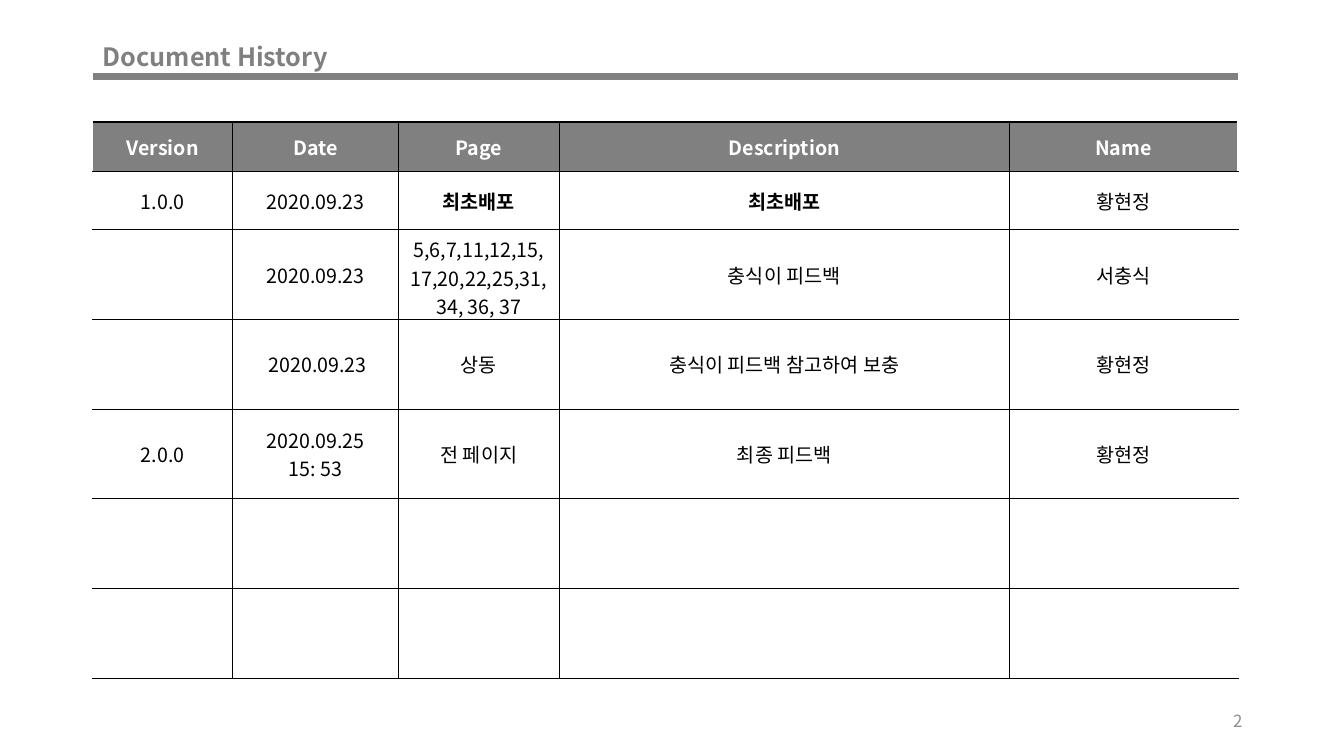
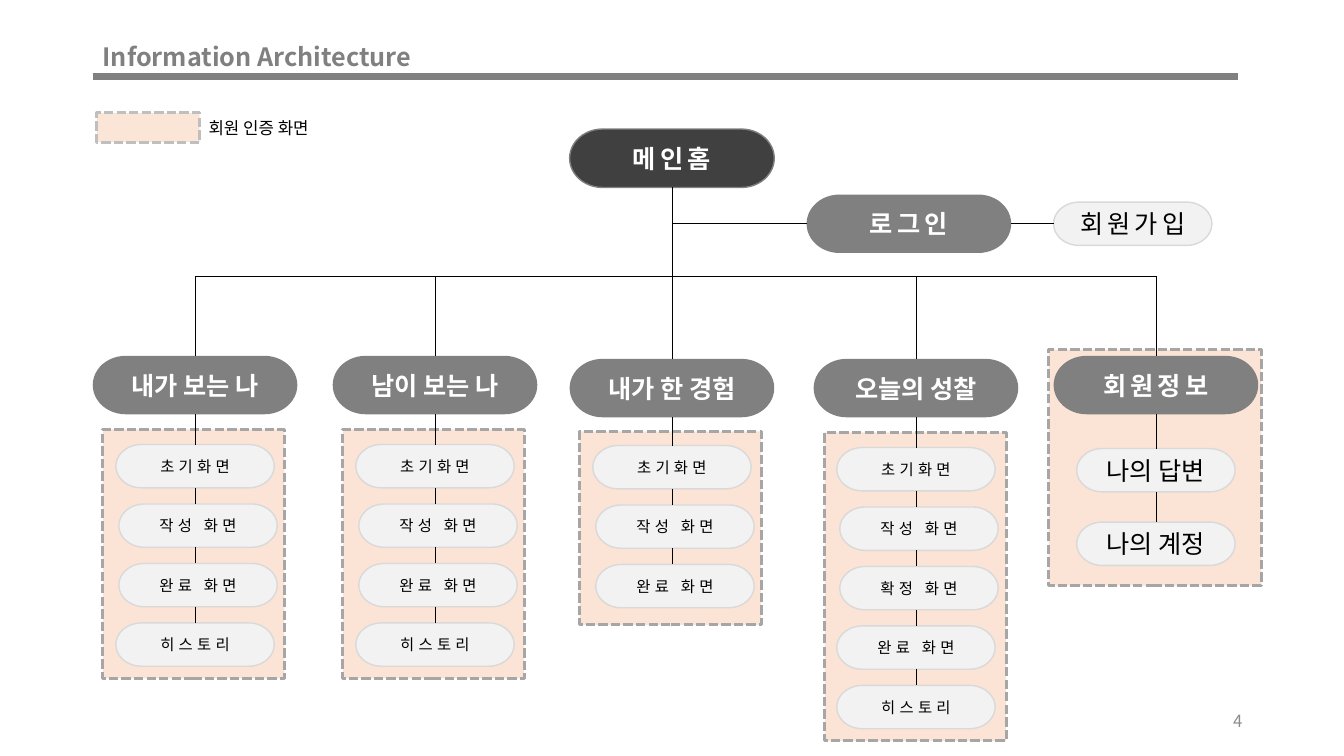
"""Build a document history table and an information architecture chart."""
from dataclasses import dataclass
from itertools import pairwise
from typing import Any, NamedTuple

from lxml import etree
from pptx import Presentation
from pptx.dml.color import RGBColor
from pptx.enum.dml import MSO_LINE
from pptx.enum.shapes import MSO_CONNECTOR, MSO_SHAPE
from pptx.enum.text import MSO_ANCHOR, PP_ALIGN
from pptx.oxml.ns import qn
from pptx.util import Emu, Inches, Pt

STRAIGHT = MSO_CONNECTOR.STRAIGHT
PILL, RECT = MSO_SHAPE.FLOWCHART_TERMINATOR, MSO_SHAPE.RECTANGLE
LEFT, CENTER, RIGHT = PP_ALIGN.LEFT, PP_ALIGN.CENTER, PP_ALIGN.RIGHT
MIDDLE, DASH = MSO_ANCHOR.MIDDLE, MSO_LINE.SQUARE_DOT
TOP_SIDE, LEFT_SIDE, BOTTOM_SIDE, RIGHT_SIDE = range(4)

SLIDE_W, SLIDE_H = Inches(13.33), Inches(7.5)
GRID_ROWS = 75
CELL = SLIDE_H / GRID_ROWS


@dataclass(frozen=True)
class Theme:
    font: str = "Noto Sans CJK KR"
    grey: str = "808080"
    dark: str = "404040"
    black: str = "000000"
    white: str = "FFFFFF"
    number: str = "8C8C8C"
    pale: str = "F2F2F2"
    pale_edge: str = "D9D9D9"
    peach: str = "F8CBAD"
    peach_solid: str = "FBE5D6"
    panel_edge: str = "A6A6A6"
    legend_edge: str = "BFBFBF"
    head_size: float = 18
    table_size: float = 14
    note_size: float = 12
    leaf_size: float = 11
    tracking: float = 3
    rule: float = 4.5
    dash: float = 2.25
    edge: float = 1
    hairline: float = 0.5


T = Theme()


class Box(NamedTuple):
    x: float
    y: float
    w: float
    h: float


class Style(NamedTuple):
    size: float
    color: str
    bold: bool = False
    tracking: float = 0
    align: Any = CENTER


class Look(NamedTuple):
    fill: str
    edge: str | None = None
    width: float = T.edge
    dashed: bool = False
    alpha: int = 100


class End(NamedTuple):
    x: float
    y: float
    shape: Any = None
    site: int = 0


class Leaf(NamedTuple):
    text: str
    shift: float = 0


@dataclass(frozen=True)
class Branch:
    text: str
    x: float
    y: float
    leaves: tuple[Leaf, ...]
    panel: Box
    first: float = 8.8
    pitch: float = 5.9
    head_tracking: float = 0
    leaf_style: Style = Style(T.leaf_size, T.black, tracking=T.tracking)


MARGIN, CONTENT_W = 9.2, 113.6
HEAD_W, HEAD_H = 20.3, 5.8
LEAF_W, LEAF_H = 15.7, 4.3
LEAF_INSET = (HEAD_W - LEAF_W) / 2
BUS_Y = 27.4

GREY_LOOK = Look(T.grey)
LEAF_LOOK = Look(T.pale, T.pale_edge)
PANEL_LOOK = Look(T.peach, T.panel_edge, T.dash, True, 50)

START, WRITE = Leaf("초기화면"), Leaf("작성 화면", 0.3)
DONE, HISTORY = Leaf("완료 화면", 0.3), Leaf("히스토리")
FOUR_STEPS = (START, WRITE, DONE, HISTORY)
BRANCHES = (
    Branch("내가 보는 나", 9.2, 35.3, FOUR_STEPS, Box(1, 7.3, 18, 24.7)),
    Branch("남이 보는 나", 33, 35.3, FOUR_STEPS, Box(1, 7.3, 18, 24.7)),
    Branch("내가 한 경험", 56.5, 35.6, (START, WRITE, DONE),
           Box(1, 7.2, 18, 19.2), first=8.6),
    Branch("오늘의 성찰", 80.7, 35.6,
           (START, WRITE, Leaf("확정 화면", 0.3), Leaf("완료 화면"), HISTORY),
           Box(1.1, 7.3, 18, 30.6)),
    Branch("회원정보", 104.5, 35.3, (Leaf("나의 답변"), Leaf("나의 계정")),
           Box(-0.5, -0.6, 21.1, 23.4), first=9.2, pitch=7.3,
           head_tracking=T.tracking, leaf_style=Style(T.head_size, T.black)),
)

COLUMN_WIDTHS = (13.9, 16.4, 16, 44.6, 22.7)
ROW_HEIGHTS = (4.9, 5.8) + (8.9,) * 5
HISTORY_ROWS = (
    ("Version", "Date", "Page", "Description", "Name"),
    ("1.0.0", "2020.09.23", "최초배포", "최초배포", "황현정"),
    ("", "2020.09.23", "5,6,7,11,12,15,17,20,22,25,31,34, 36, 37",
     "충식이 피드백", "서충식"),
    ("", " 2020.09.23", "상동", "충식이 피드백 참고하여 보충", "황현정"),
    ("2.0.0", "2020.09.25\n15: 53", "전 페이지", "최종 피드백", "황현정"),
    ("",) * 5,
    ("",) * 5,
)
BOLD_TEXT = "최초배포"


def u(cells: float) -> Emu:
    """Convert grid cells to a length."""
    return Emu(round(cells * CELL))


def rgb(color: str) -> RGBColor:
    """Read a hexadecimal colour."""
    return RGBColor.from_string(color)


def write(tf: Any, text: str, style: Style) -> None:
    """Fill a text frame, one paragraph per line."""
    tf.text = text
    for p in tf.paragraphs:
        p.alignment = style.align
        font = p.font
        font.size, font.bold = Pt(style.size), style.bold
        font.color.rgb = rgb(style.color)
        font.name = T.font
        rpr = p._p.pPr.find(qn("a:defRPr"))
        etree.SubElement(rpr, qn("a:ea"), typeface=T.font)
        if style.tracking:
            rpr.set("spc", str(round(style.tracking * 100)))


def add_text(s: Any, box: Box, text: str, style: Style, wrap: bool = True) -> Any:
    """Add a text box and return its text frame."""
    tf = s.shapes.add_textbox(*map(u, box)).text_frame
    tf.word_wrap, tf.vertical_anchor = wrap, MIDDLE
    write(tf, text, style)
    return tf


def add_box(s: Any, kind: Any, box: Box, look: Look) -> Any:
    """Add a filled preset shape."""
    sp = s.shapes.add_shape(kind, *map(u, box))
    sp.shadow.inherit = False
    sp.fill.solid()
    sp.fill.fore_color.rgb = rgb(look.fill)
    if look.alpha < 100:
        color = sp._element.spPr.find(qn("a:solidFill"))[0]
        etree.SubElement(color, qn("a:alpha"), val=str(look.alpha * 1000))
    if look.edge is None:
        sp.line.fill.background()
        return sp
    sp.line.color.rgb = rgb(look.edge)
    sp.line.width = Pt(look.width)
    if look.dashed:
        sp.line.dash_style = DASH
    return sp


def add_pill(s: Any, box: Box, text: str, look: Look, style: Style) -> Any:
    """Add a labelled node."""
    sp = add_box(s, PILL, box, look)
    tf = sp.text_frame
    tf.word_wrap, tf.vertical_anchor = False, MIDDLE
    write(tf, text, style)
    return sp


def add_line(s: Any, start: End, end: End, color: str = T.black,
             width: float = T.hairline) -> None:
    """Add a straight line, joined to the shapes its ends name."""
    cn = s.shapes.add_connector(
        STRAIGHT, u(start.x), u(start.y), u(end.x), u(end.y))
    cn.line.color.rgb = rgb(color)
    cn.line.width = Pt(width)
    etree.SubElement(cn._element.spPr, qn("a:effectLst"))
    if start.shape is not None:
        cn.begin_connect(start.shape, start.site)
    if end.shape is not None:
        cn.end_connect(end.shape, end.site)


def add_page(prs: Any, title: str, number: int) -> Any:
    """Add a slide with its title, rule and page number."""
    s = prs.slides.add_slide(prs.slide_layouts[6])
    tf = add_text(s, Box(MARGIN, 4, 45.2, 3.5), title,
                  Style(T.head_size, T.grey, True, align=LEFT))
    tf.paragraphs[0].line_spacing = 0.9
    add_line(s, End(MARGIN, 7.6), End(MARGIN + CONTENT_W, 7.6), T.grey, T.rule)
    add_text(s, Box(94.2, 69.5, 30, 4), str(number),
             Style(T.note_size, T.number, align=RIGHT))
    return s


def add_borders(cell: Any, sides: dict[str, str]) -> None:
    """Draw the four borders of a table cell."""
    tcpr = cell._tc.get_or_add_tcPr()
    for side, color in sides.items():
        ln = etree.SubElement(tcpr, qn(f"a:ln{side}"), w=str(Pt(T.edge)))
        fill = etree.SubElement(ln, qn("a:solidFill"))
        etree.SubElement(fill, qn("a:srgbClr"), val=color)


def add_history(s: Any) -> None:
    """Add the version table."""
    last = len(COLUMN_WIDTHS) - 1
    box = Box(MARGIN, 12.1, sum(COLUMN_WIDTHS), sum(ROW_HEIGHTS))
    table = s.shapes.add_table(
        len(ROW_HEIGHTS), len(COLUMN_WIDTHS), *map(u, box)).table
    table.first_row = table.horz_banding = False
    for column, width in zip(table.columns, COLUMN_WIDTHS):
        column.width = u(width)
    for i, (height, texts) in enumerate(zip(ROW_HEIGHTS, HISTORY_ROWS)):
        table.rows[i].height = u(height)
        header = i == 0
        for j, text in enumerate(texts):
            cell = table.cell(i, j)
            add_borders(cell, {"L": T.white if j == 0 else T.black,
                               "R": T.white if j == last else T.black,
                               "T": T.black, "B": T.black})
            cell.fill.solid()
            cell.fill.fore_color.rgb = rgb(T.grey if header else T.white)
            cell.vertical_anchor = MIDDLE
            write(cell.text_frame, text,
                  Style(T.table_size, T.white if header else T.black,
                        header or text == BOLD_TEXT))


def add_branch(s: Any, b: Branch) -> None:
    """Add a branch: panel, head, leaves and the lines between them."""
    axis = b.x + HEAD_W / 2
    add_box(s, RECT, Box(b.x + b.panel.x, b.y + b.panel.y, *b.panel[2:]), PANEL_LOOK)
    head = add_pill(s, Box(b.x, b.y, HEAD_W, HEAD_H), b.text, GREY_LOOK,
                    Style(T.head_size, T.white, True, b.head_tracking))
    add_line(s, End(axis, BUS_Y), End(axis, b.y, head, TOP_SIDE))
    nodes = [(b.y, HEAD_H, head)]
    for i, leaf in enumerate(b.leaves):
        y = b.y + b.first + i * b.pitch
        sp = add_pill(s, Box(b.x + LEAF_INSET + leaf.shift, y, LEAF_W, LEAF_H),
                      leaf.text, LEAF_LOOK, b.leaf_style)
        nodes.append((y, LEAF_H, None if leaf.shift else sp))
    for (y, h, upper), (below, _, lower) in pairwise(nodes):
        add_line(s, End(axis, y + h, upper, BOTTOM_SIDE),
                 End(axis, below, lower, TOP_SIDE))


def add_architecture(s: Any) -> None:
    """Add the legend, the top nodes and all branches."""
    add_box(s, RECT, Box(9.6, 11.2, 10.2, 2.9),
            Look(T.peach_solid, T.legend_edge, T.dash, True))
    add_text(s, Box(19.7, 11.2, 13.3, 3), "회원 인증 화면",
             Style(T.note_size, T.black, align=LEFT), wrap=False)
    top = Style(T.head_size, T.white, True, T.tracking)
    home_box = Box(56.5, 12.8, HEAD_W, HEAD_H)
    login_box = Box(80, 19.3, HEAD_W, HEAD_H)
    axis, level = home_box.x + HEAD_W / 2, login_box.y + HEAD_H / 2
    join_box = Box(104.5, level - LEAF_H / 2, LEAF_W, LEAF_H)
    home = add_pill(s, home_box, "메인홈", Look(T.dark, T.grey), top)
    login = add_pill(s, login_box, "로그인", GREY_LOOK, top)
    join = add_pill(s, join_box, "회원가입", LEAF_LOOK,
                    Style(T.head_size, T.black, tracking=T.tracking))
    add_line(s, End(axis, home_box.y + HEAD_H, home, BOTTOM_SIDE), End(axis, BUS_Y))
    add_line(s, End(login_box.x, level, login, LEFT_SIDE), End(axis, level))
    add_line(s, End(login_box.x + HEAD_W, level, login, RIGHT_SIDE),
             End(join_box.x, level, join, LEFT_SIDE))
    first, last = (b.x + HEAD_W / 2 for b in (BRANCHES[0], BRANCHES[-1]))
    add_line(s, End(first, BUS_Y), End(last, BUS_Y))
    for b in BRANCHES:
        add_branch(s, b)


def main() -> None:
    """Build and save the presentation."""
    prs = Presentation()
    prs.slide_width, prs.slide_height = SLIDE_W, SLIDE_H
    add_history(add_page(prs, "Document History", 2))
    add_architecture(add_page(prs, "Information Architecture", 4))
    prs.save("out.pptx")


if __name__ == "__main__":
    main()
